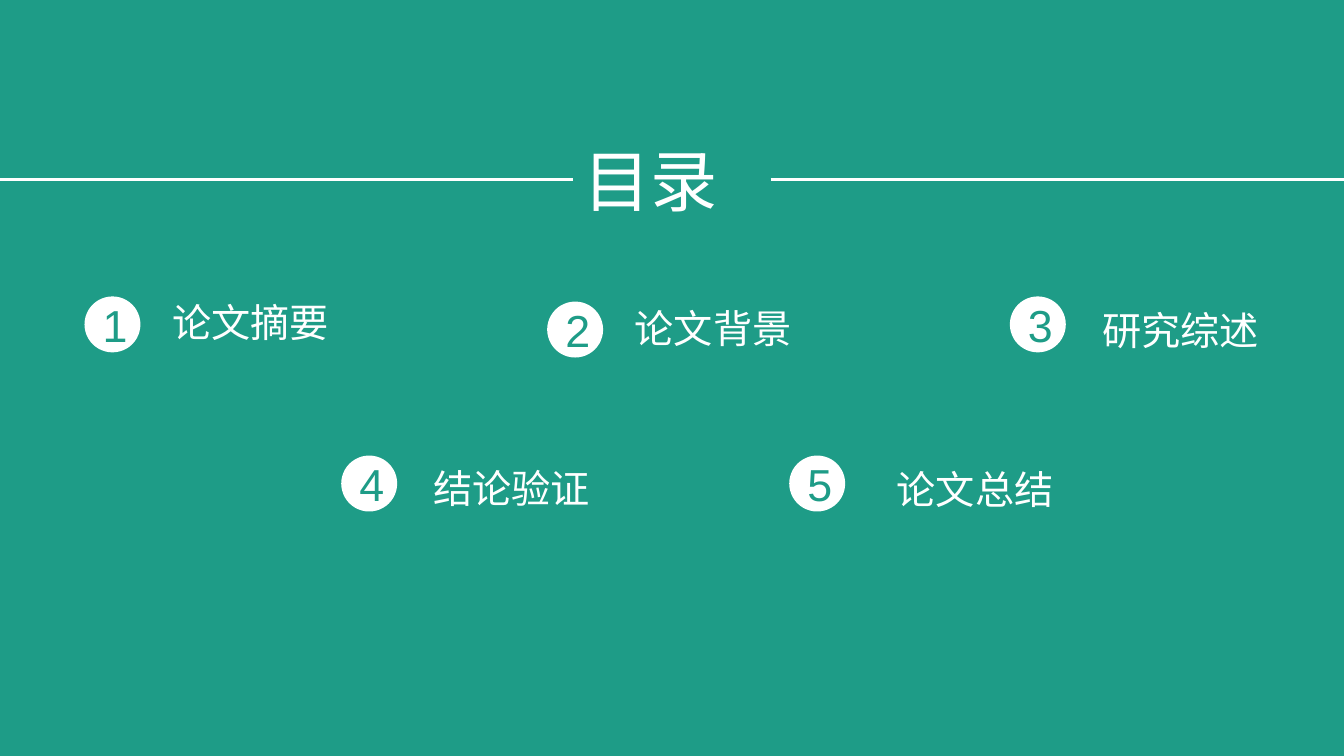
"""Build the contents slide of a thesis deck."""
from dataclasses import dataclass

from lxml import etree
from pptx import Presentation
from pptx import util as u
from pptx.dml.color import RGBColor
from pptx.enum import shapes, text
from pptx.oxml.ns import qn


@dataclass(frozen=True)
class Theme:
    """Colours, fonts and type sizes."""
    green: RGBColor = RGBColor(0x1E, 0x9C, 0x87)
    white: RGBColor = RGBColor(0xFF, 0xFF, 0xFF)
    latin: str = "Arial"
    asian: str = "Noto Sans CJK SC"
    head: int = 48
    digit: int = 32
    label: int = 28
    rule: float = 2.25


LOOK = Theme()
WIDTH, HEIGHT = 33.87, 19.05
RULE_TOP = 4.52
RULES = [(0, 14.45), (19.42, WIDTH)]
DOT = 1.41
ITEMS = [
    ("论文摘要", (2.13, 7.47), (4.09, 7.39)),
    ("论文背景", (13.79, 7.6), (15.75, 7.54)),
    ("研究综述", (25.45, 7.47), (27.53, 7.59)),
    ("结论验证", (8.6, 11.48), (10.67, 11.58)),
    ("论文总结", (19.89, 11.48), (22.35, 11.61)),
]


def apply(item, form):
    """Set each attribute named in form on item."""
    for name, value in form.items():
        setattr(item, name, value)


def write(shape, words, face, size, color, align, frame):
    """Fill a shape with one formatted line of text."""
    box = shape.text_frame
    apply(box, frame)
    para = box.paragraphs[0]
    para.alignment = align
    run = para.add_run()
    run.text = words
    apply(run.font, {"name": face, "size": u.Pt(size), "bold": False})
    run.font.color.rgb = color
    props = run.font._element
    etree.SubElement(props, qn("a:ea")).set("typeface", face)


def add_head(slide, words):
    """Place and format the slide title."""
    head = slide.shapes.title
    apply(head, {"left": u.Cm(14.45), "top": u.Cm(3.38),
                 "width": u.Cm(4.98), "height": u.Cm(2.31)})
    write(head, words, LOOK.asian, LOOK.head, LOOK.white,
          text.PP_ALIGN.JUSTIFY,
          {"word_wrap": True, "vertical_anchor": text.MSO_ANCHOR.TOP,
           "auto_size": text.MSO_AUTO_SIZE.SHAPE_TO_FIT_TEXT})


def add_rule(slide, start, end):
    """Draw a level line beside the title."""
    rule = slide.shapes.add_connector(
        shapes.MSO_CONNECTOR.STRAIGHT,
        u.Cm(start), u.Cm(RULE_TOP), u.Cm(end), u.Cm(RULE_TOP))
    rule.line.color.rgb = LOOK.white
    rule.line.width = u.Pt(LOOK.rule)
    etree.SubElement(rule._element.spPr, qn("a:effectLst"))


def add_item(slide, number, words, dot_at, label_at):
    """Group a numbered dot with its label."""
    group = slide.shapes.add_group_shape().shapes
    dot = group.add_shape(shapes.MSO_SHAPE.OVAL,
                          *map(u.Cm, dot_at), u.Cm(DOT), u.Cm(DOT))
    dot.shadow.inherit = False
    dot.fill.solid()
    dot.fill.fore_color.rgb = LOOK.white
    dot.line.fill.background()
    write(dot, str(number), LOOK.latin, LOOK.digit, LOOK.green,
          text.PP_ALIGN.CENTER,
          {"word_wrap": True, "vertical_anchor": text.MSO_ANCHOR.MIDDLE})
    label = group.add_textbox(*map(u.Cm, label_at), u.Cm(4.5), u.Cm(1.45))
    write(label, words, LOOK.asian, LOOK.label, LOOK.white,
          text.PP_ALIGN.LEFT,
          {"word_wrap": False,
           "auto_size": text.MSO_AUTO_SIZE.SHAPE_TO_FIT_TEXT})


def main():
    """Assemble and save the slide."""
    deck = Presentation()
    apply(deck, {"slide_width": u.Cm(WIDTH), "slide_height": u.Cm(HEIGHT)})
    slide = deck.slides.add_slide(deck.slide_layouts.get_by_name("Title Only"))
    back = slide.background.fill
    back.solid()
    back.fore_color.rgb = LOOK.green
    for start, end in RULES:
        add_rule(slide, start, end)
    add_head(slide, "目录")
    for number, item in enumerate(ITEMS, 1):
        add_item(slide, number, *item)
    deck.save("out.pptx")


if __name__ == "__main__":
    main()
